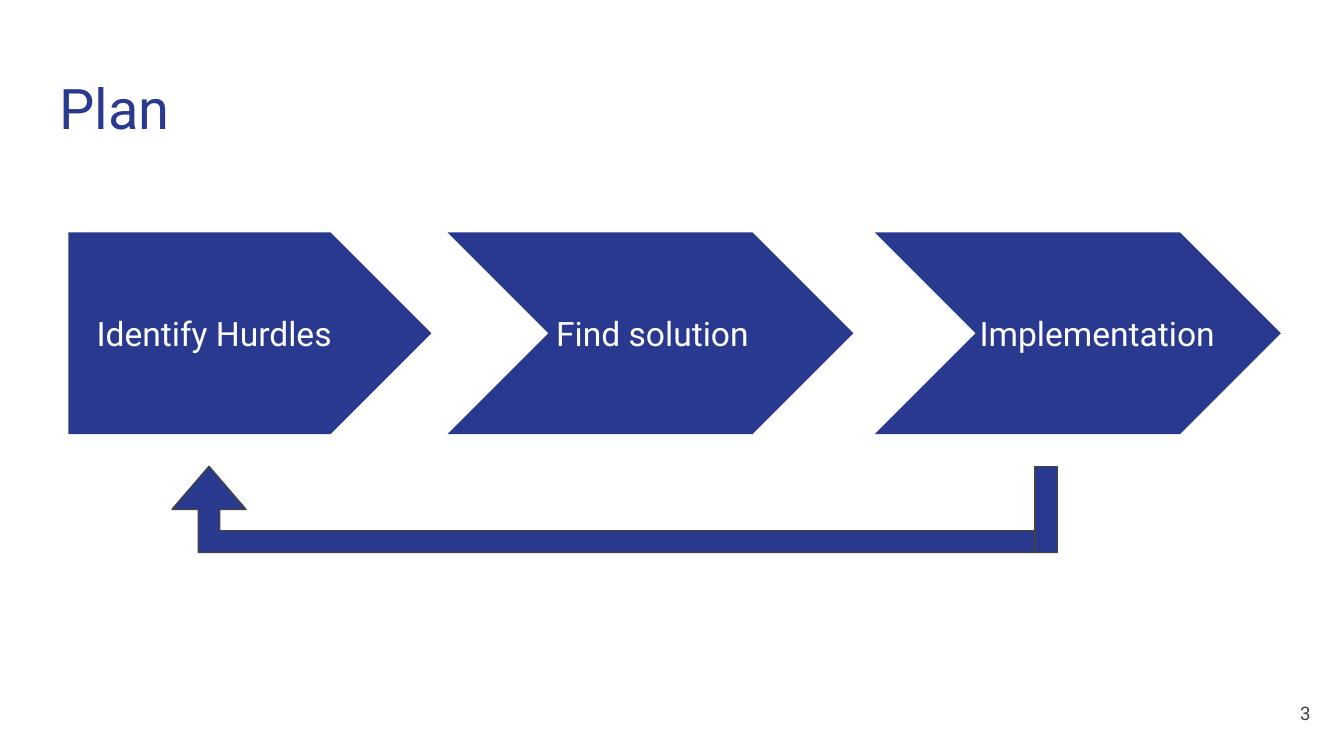
import dataclasses

import pptx
import pptx.dml.color
import pptx.enum.shapes
import pptx.enum.text
import pptx.shapes.autoshape
import pptx.slide
import pptx.util

NAVY = pptx.dml.color.RGBColor(0x2A, 0x39, 0x90)
GRAY = pptx.dml.color.RGBColor(0x43, 0x43, 0x43)
WHITE = pptx.dml.color.RGBColor(0xFF, 0xFF, 0xFF)
SHAPE = pptx.enum.shapes.MSO_SHAPE
ANCHOR = pptx.enum.text.MSO_ANCHOR
ALIGN = pptx.enum.text.PP_ALIGN
FONT = "Roboto"

# The slide is a grid of 100 columns; rows are as high as columns are wide
CELL = pptx.util.Inches(0.1)
COLUMNS, ROWS = 100, 56.25


@dataclasses.dataclass(frozen=True)
class Area:
    column: float
    row: float
    columns: float
    rows: float

    def lengths(self) -> list[int]:
        return [round(value * CELL) for value in dataclasses.astuple(self)]


@dataclasses.dataclass(frozen=True)
class Step:
    label: str
    kind: SHAPE
    column: float
    columns: float
    label_column: float


STEPS = (
    Step("Identify Hurdles", SHAPE.PENTAGON, 5.1, 27, 6.2),
    Step("Find solution", SHAPE.CHEVRON, 33.3, 30.2, 40.4),
    Step("Implementation", SHAPE.CHEVRON, 65.1, 30.2, 71.9),
)
STEP_ROW, STEP_ROWS = 17.3, 15
LABEL_COLUMNS, LABEL_ROWS = 24.7, 3.4
RETURN_ROW, RETURN_ROWS = 34.7, 6.4


def write(shape: pptx.shapes.autoshape.Shape, text: str, size: float,
          color: pptx.dml.color.RGBColor, anchor: ANCHOR = ANCHOR.MIDDLE,
          alignment: ALIGN = ALIGN.LEFT) -> None:
    frame = shape.text_frame
    frame.text = text
    frame_format = {"word_wrap": True, "vertical_anchor": anchor,
                    "auto_size": pptx.enum.text.MSO_AUTO_SIZE.NONE}
    for side in ("left", "top", "right", "bottom"):
        frame_format[f"margin_{side}"] = CELL
    for name, value in frame_format.items():
        setattr(frame, name, value)
    paragraph = frame.paragraphs[0]
    paragraph.alignment = alignment
    font = paragraph.runs[0].font
    for name, value in {"name": FONT, "size": pptx.util.Pt(size)}.items():
        setattr(font, name, value)
    font.color.rgb = color


def add_text(slide: pptx.slide.Slide, area: Area, text: str, size: float,
             color: pptx.dml.color.RGBColor,
             alignment: ALIGN = ALIGN.LEFT) -> None:
    box = slide.shapes.add_textbox(*area.lengths())
    write(box, text, size, color, alignment=alignment)


def add_block(slide: pptx.slide.Slide, kind: SHAPE, area: Area,
              outlined: bool = False) -> pptx.shapes.autoshape.Shape:
    shape = slide.shapes.add_shape(kind, *area.lengths())
    shape.shadow.inherit = False
    shape.fill.solid()
    shape.fill.fore_color.rgb = NAVY
    if outlined:
        shape.line.color.rgb = GRAY
        shape.line.width = pptx.util.Pt(0.75)
    else:
        shape.line.fill.background()
    return shape


def add_step(slide: pptx.slide.Slide, step: Step) -> None:
    add_block(slide, step.kind,
              Area(step.column, STEP_ROW, step.columns, STEP_ROWS))
    label_row = STEP_ROW + (STEP_ROWS - LABEL_ROWS) / 2
    add_text(slide, Area(step.label_column, label_row, LABEL_COLUMNS, LABEL_ROWS),
             step.label, 18, WHITE)


def add_return_arrow(slide: pptx.slide.Slide) -> None:
    arrow = add_block(slide, SHAPE.BENT_UP_ARROW,
                      Area(12.8, RETURN_ROW, 65.8, RETURN_ROWS), outlined=True)
    for index, value in enumerate((0.25, 0.43, 0.5)):
        arrow.adjustments[index] = value
    arrow.element.spPr.get_or_add_xfrm().set("flipH", "1")
    # Upright that starts the arrow below the last step
    add_block(slide, SHAPE.RECTANGLE,
              Area(77, RETURN_ROW, 1.7, RETURN_ROWS), outlined=True)


def main() -> None:
    presentation = pptx.Presentation()
    presentation.slide_width = COLUMNS * CELL
    presentation.slide_height = round(ROWS * CELL)
    slide = presentation.slides.add_slide(
        presentation.slide_layouts.get_by_name("Title Only"))

    # Title
    title = slide.shapes.title
    sides = ("left", "top", "width", "height")
    for name, value in zip(sides, Area(3.4, 4.5, 93.2, 6.6).lengths()):
        setattr(title, name, value)
    write(title, "Plan", 30, NAVY, ANCHOR.TOP)

    # Steps and the way back to the first one
    for step in STEPS:
        add_step(slide, step)
    add_return_arrow(slide)

    # Slide number
    add_text(slide, Area(92.5, 50.9, 6, 4.3), "3", 10, GRAY, ALIGN.RIGHT)

    presentation.save("out.pptx")


if __name__ == "__main__":
    main()
